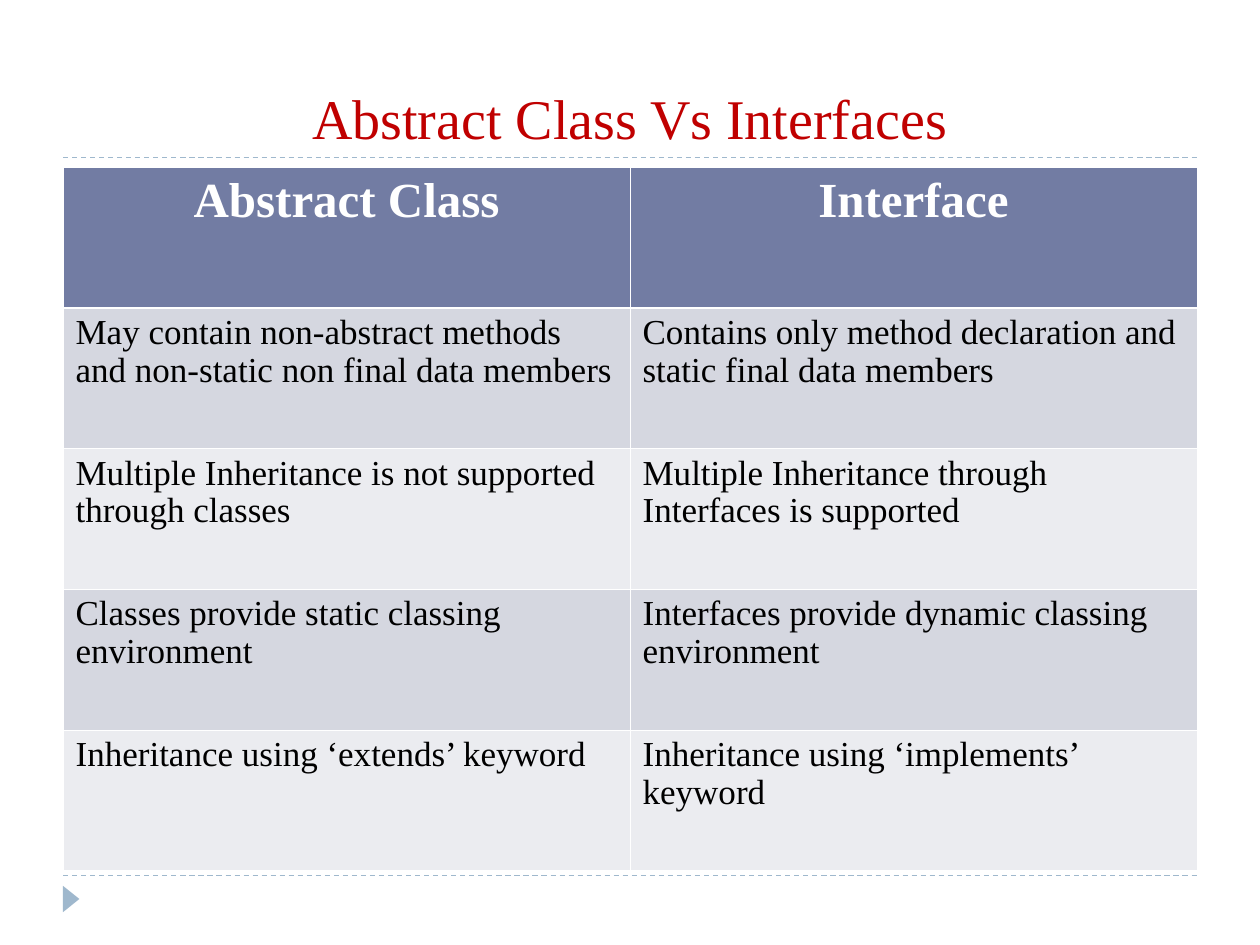
from dataclasses import dataclass

from lxml.etree import SubElement
from pptx import Presentation
from pptx.dml.color import RGBColor
from pptx.enum.dml import MSO_LINE
from pptx.enum.shapes import MSO_CONNECTOR, MSO_SHAPE
from pptx.enum.text import MSO_ANCHOR, MSO_AUTO_SIZE, PP_ALIGN
from pptx.oxml.ns import qn
from pptx.util import Pt


@dataclass(frozen=True)
class Theme:
    font: str = "Times New Roman"
    title_color: str = "C00000"
    accent: str = "9FB8CD"
    header_fill: str = "727CA3"
    band_fills: tuple = ("D5D7E0", "EBECF0")
    white: str = "FFFFFF"
    black: str = "000000"
    title_size: float = 32
    header_size: float = 28
    body_size: float = 20
    thin_border: float = 0.45
    header_border: float = 1.47


THEME = Theme()
LEFT, WIDTH = 36, 648
TITLE_RULE, FOOTER_RULE = 90, 500.4
TABLE_TOP, ROW_HEIGHT = 95.8, 80.35

COMPARISON = [
    ("Abstract Class", "Interface"),
    ("May contain non-abstract methods and non-static non final data members",
     "Contains only method declaration and static final data members"),
    ("Multiple Inheritance is not supported through classes",
     "Multiple Inheritance through Interfaces is supported"),
    ("Classes provide static classing environment",
     "Interfaces provide dynamic classing environment"),
    ("Inheritance using ‘extends’ keyword",
     "Inheritance using ‘implements’ keyword"),
]


def format_text(text_frame, size, color, bold=False, align=PP_ALIGN.LEFT, spacing=1.0):
    for paragraph in text_frame.paragraphs:
        paragraph.alignment = align
        paragraph.line_spacing = spacing
        for run in paragraph.runs:
            run.font.name = THEME.font
            run.font.size = Pt(size)
            run.font.bold = bold
            run.font.color.rgb = RGBColor.from_string(color)


def set_title(slide, text):
    title = slide.shapes.title
    title.left, title.top = Pt(LEFT), Pt(0)
    title.width, title.height = Pt(WIDTH), Pt(TITLE_RULE)
    text_frame = title.text_frame
    text_frame.text = text
    text_frame.auto_size = MSO_AUTO_SIZE.NONE
    text_frame.vertical_anchor = MSO_ANCHOR.BOTTOM
    format_text(text_frame, THEME.title_size, THEME.title_color, align=PP_ALIGN.CENTER)


def add_dashed_rule(slide, top):
    rule = slide.shapes.add_connector(
        MSO_CONNECTOR.STRAIGHT, Pt(LEFT), Pt(top), Pt(LEFT + WIDTH), Pt(top))
    rule.line.color.rgb = RGBColor.from_string(THEME.accent)
    rule.line.width = Pt(0.75)
    rule.line.dash_style = MSO_LINE.DASH
    SubElement(rule._element.spPr, qn("a:effectLst"))


def add_footer_marker(slide):
    marker = slide.shapes.add_shape(
        MSO_SHAPE.ISOSCELES_TRIANGLE, Pt(33.1), Pt(509), Pt(15.1), Pt(9.4))
    marker.rotation = 90
    marker.shadow.inherit = False
    marker.fill.solid()
    marker.fill.fore_color.rgb = RGBColor.from_string(THEME.accent)
    marker.line.fill.background()


def set_cell_borders(cell, top, bottom):
    properties = cell._tc.get_or_add_tcPr()
    thin = THEME.thin_border
    for side, width in (("L", thin), ("R", thin), ("T", top), ("B", bottom)):
        border = SubElement(properties, qn(f"a:ln{side}"), w=str(Pt(width)))
        fill = SubElement(border, qn("a:solidFill"))
        SubElement(fill, qn("a:srgbClr"), val=THEME.white)


def format_cell(cell, row_index):
    is_header = row_index == 0
    set_cell_borders(
        cell,
        top=THEME.header_border if row_index == 1 else THEME.thin_border,
        bottom=THEME.header_border if is_header else THEME.thin_border)
    cell.margin_left = cell.margin_right = Pt(7.2)
    cell.margin_top = cell.margin_bottom = Pt(3.6)
    cell.fill.solid()
    if is_header:
        fill = THEME.header_fill
        format_text(cell.text_frame, THEME.header_size, THEME.white, True, PP_ALIGN.CENTER)
    else:
        fill = THEME.band_fills[(row_index - 1) % 2]
        format_text(cell.text_frame, THEME.body_size, THEME.black, spacing=0.97)
    cell.fill.fore_color.rgb = RGBColor.from_string(fill)


def add_comparison_table(slide, rows):
    column_count = len(rows[0])
    table = slide.shapes.add_table(
        len(rows), column_count, Pt(LEFT), Pt(TABLE_TOP),
        Pt(WIDTH), Pt(ROW_HEIGHT * len(rows))).table
    for column in table.columns:
        column.width = Pt(WIDTH / column_count)
    for row_index, texts in enumerate(rows):
        table.rows[row_index].height = Pt(ROW_HEIGHT)
        for column_index, text in enumerate(texts):
            cell = table.cell(row_index, column_index)
            cell.text_frame.text = text
            format_cell(cell, row_index)


def main():
    presentation = Presentation()
    presentation.slide_width, presentation.slide_height = Pt(720), Pt(540)
    slide = presentation.slides.add_slide(presentation.slide_layouts[5])
    for top in (FOOTER_RULE, TITLE_RULE):
        add_dashed_rule(slide, top)
    add_footer_marker(slide)
    set_title(slide, "Abstract Class Vs Interfaces")
    add_comparison_table(slide, COMPARISON)
    presentation.save("out.pptx")


if __name__ == "__main__":
    main()
